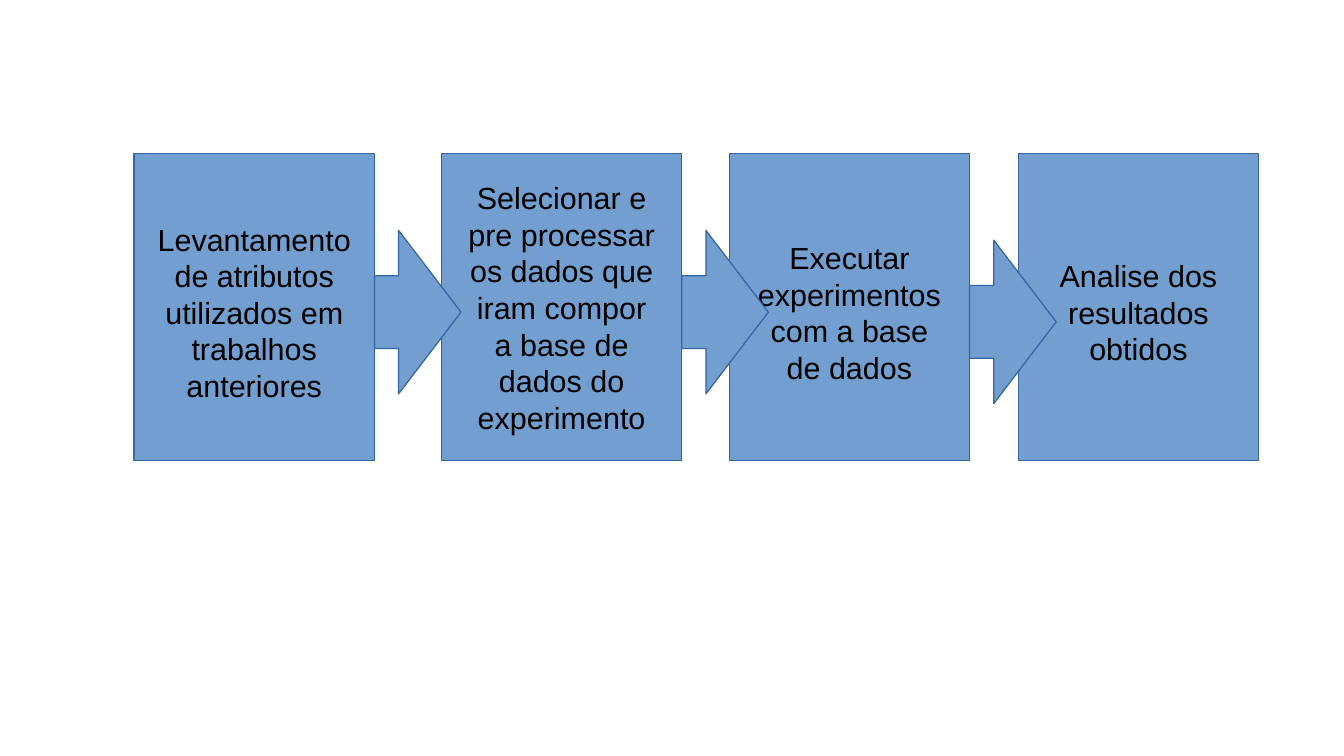
from pptx import Presentation
from pptx.dml.color import RGBColor
from pptx.enum.shapes import MSO_SHAPE
from pptx.enum.text import MSO_ANCHOR, PP_ALIGN
from pptx.util import Inches, Pt

RECTANGLE = MSO_SHAPE.RECTANGLE
RIGHT_ARROW = MSO_SHAPE.RIGHT_ARROW
MIDDLE = MSO_ANCHOR.MIDDLE
CENTER = PP_ALIGN.CENTER

SLIDE_SIZE = (11.02, 6.2)
STEPS = [
    {"text": "Levantamento de atributos utilizados em trabalhos anteriores",
     "gap": 0.55, "arrow_top": 1.89, "side": 0.18, "drop": 0.08},
    {"text": "Selecionar e pre processar os dados que iram compor a base de dados do experimento",
     "gap": 0.39, "arrow_top": 1.89, "side": 0.22, "drop": 0},
    {"text": "Executar experimentos com a base de dados",
     "gap": 0.4, "arrow_top": 1.97, "side": 0.22, "drop": 0.08},
    {"text": "Analise dos resultados obtidos",
     "side": 0.22, "drop": 0.08},
]
FIRST_LEFT, BOX_TOP = 1.1, 1.26
BOX_WIDTH, BOX_HEIGHT = 1.97, 2.52
ARROW_WIDTH, ARROW_HEIGHT = 0.71, 1.34
ARROW_ADJUSTMENTS = (0.444, 0.72)
FILL, OUTLINE, INK = "729FCF", "3465A4", "000000"


def color(value):
    return RGBColor.from_string(value)


def add_block(slide, kind, left, top, width, height):
    shape = slide.shapes.add_shape(
        kind, Inches(left), Inches(top), Inches(width), Inches(height))
    shape.shadow.inherit = False
    shape.fill.solid()
    shape.fill.fore_color.rgb = color(FILL)
    shape.line.color.rgb = color(OUTLINE)
    shape.line.width = Pt(0)
    return shape


def write_text(shape, text, size=18, font="Arial", ink=INK, side=0.1, drop=0):
    frame = shape.text_frame
    frame.word_wrap = True
    frame.vertical_anchor = MIDDLE
    frame.margin_left = frame.margin_right = Inches(side)
    frame.margin_top = Inches(0.05 + drop)
    frame.margin_bottom = Inches(0.05)
    paragraph = frame.paragraphs[0]
    paragraph.alignment = CENTER
    run = paragraph.add_run()
    run.text = text
    run.font.size = Pt(size)
    run.font.name = font
    run.font.color.rgb = color(ink)


def main():
    presentation = Presentation()
    presentation.slide_width, presentation.slide_height = map(Inches, SLIDE_SIZE)
    slide = presentation.slides.add_slide(presentation.slide_layouts[6])

    arrows = []
    left = FIRST_LEFT
    for step in STEPS:
        box = add_block(slide, RECTANGLE, left, BOX_TOP, BOX_WIDTH, BOX_HEIGHT)
        write_text(box, step["text"], side=step["side"], drop=step["drop"])
        if "gap" in step:
            arrows.append((left + BOX_WIDTH, step["arrow_top"]))
            left += BOX_WIDTH + step["gap"]

    for arrow_left, arrow_top in arrows:
        arrow = add_block(slide, RIGHT_ARROW, arrow_left, arrow_top,
                          ARROW_WIDTH, ARROW_HEIGHT)
        for index, value in enumerate(ARROW_ADJUSTMENTS):
            arrow.adjustments[index] = value

    presentation.save("out.pptx")


if __name__ == "__main__":
    main()
